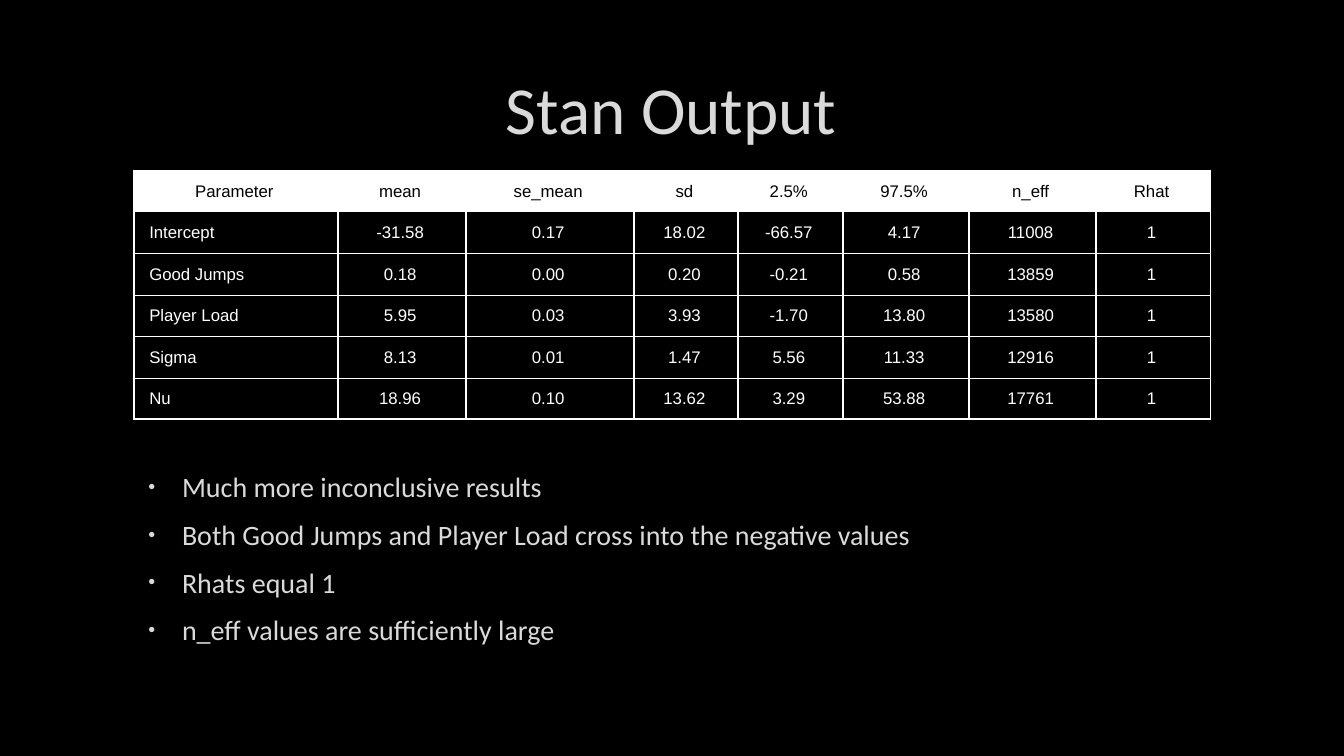
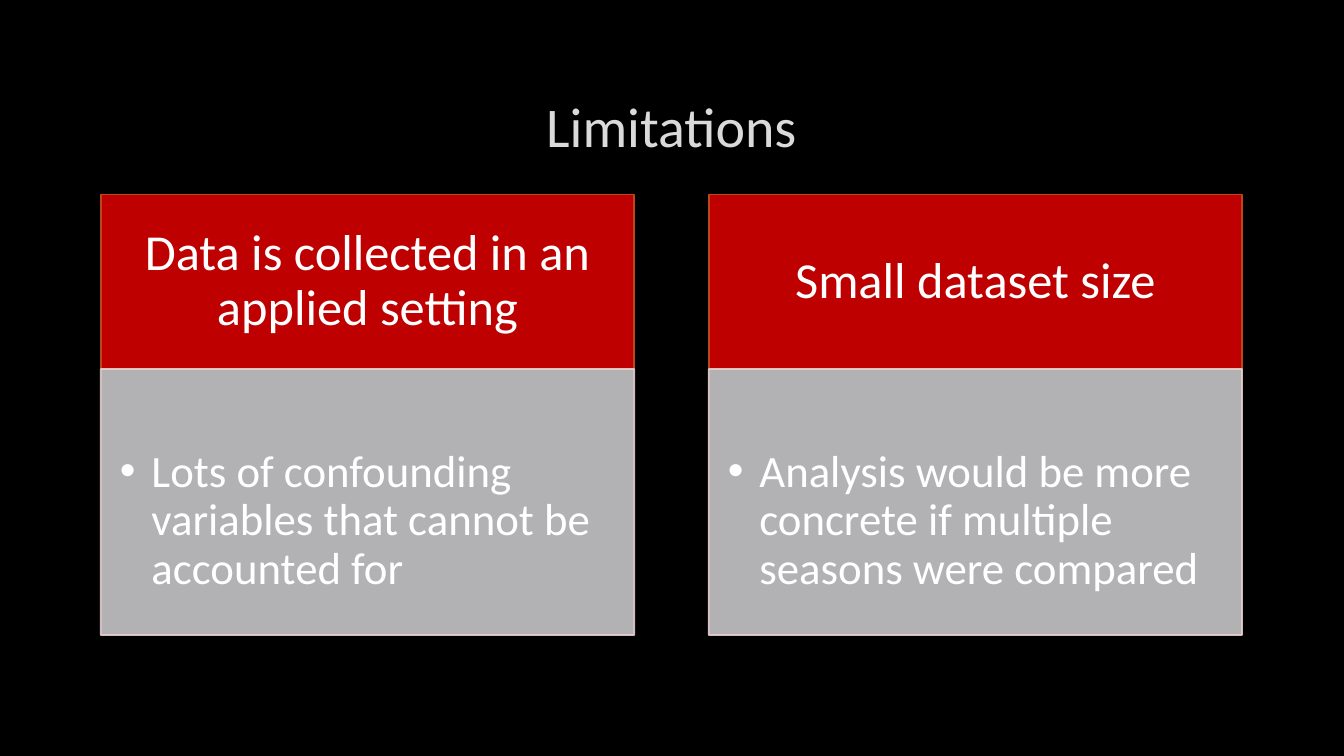
from lxml import etree
from pptx import Presentation
from pptx.dml.color import RGBColor
from pptx.enum.shapes import MSO_SHAPE
from pptx.enum.text import MSO_ANCHOR, MSO_AUTO_SIZE, PP_ALIGN
from pptx.oxml.ns import qn
from pptx.util import Pt

RECT = MSO_SHAPE.RECTANGLE
TOP, MIDDLE, BOTTOM = MSO_ANCHOR.TOP, MSO_ANCHOR.MIDDLE, MSO_ANCHOR.BOTTOM
LEFT, CENTER = PP_ALIGN.LEFT, PP_ALIGN.CENTER
NO_FIT = MSO_AUTO_SIZE.NONE

COLORS = {"black": "000000", "white": "FFFFFF", "text": "DADADA",
          "red": "BE0000", "red_line": "BC451B",
          "gray": "C6C6C9", "gray_line": "E7CFCD"}
PLAIN_TABLE = "{2D5ABB26-0587-4C30-8999-92F81FD0307C}"
TITLE_AND_BODY, TITLE_ONLY = 1, 5


def rgb(name):
    return RGBColor.from_string(COLORS[name])


def child(parent, tag, **attrs):
    return etree.SubElement(parent, qn(tag), attrs)


class Deck:
    def __init__(self):
        self.prs = Presentation()
        self.prs.slide_width, self.prs.slide_height = Pt(960), Pt(540)
        fill = self.prs.slide_master.background.fill
        fill.solid()
        fill.fore_color.rgb = rgb("black")
        self.s = None

    def slide(self, layout):
        self.s = self.prs.slides.add_slide(self.prs.slide_layouts[layout])

    # Text helpers
    def place(self, sp, box):
        sp.left, sp.top, sp.width, sp.height = (Pt(v) for v in box)

    def frame(self, tf, anchor, margins):
        tf.word_wrap, tf.auto_size, tf.vertical_anchor = True, NO_FIT, anchor
        (tf.margin_left, tf.margin_top,
         tf.margin_right, tf.margin_bottom) = (Pt(v) for v in margins)

    def add_text(self, p, text, size, color, align=LEFT, font="Calibri"):
        p.alignment = align
        r = p.add_run()
        r.text = text
        r.font.size, r.font.name = Pt(size), font
        r.font.color.rgb = rgb(color)

    def bullet(self, p, color, indent, hang, percent=100):
        pPr = p._p.get_or_add_pPr()
        pPr.set("marL", str(Pt(indent)))
        pPr.set("indent", str(-Pt(hang)))
        child(child(pPr, "a:buClr"), "a:srgbClr", val=COLORS[color])
        child(pPr, "a:buSzPct", val=str(percent * 1000))
        child(pPr, "a:buFont", typeface="Arial")
        child(pPr, "a:buChar", char="•")

    # Placeholders
    def title(self, text, box, size, anchor):
        sp = self.s.shapes.title
        self.place(sp, box)
        self.frame(sp.text_frame, anchor, (7.2, 6.5, 7.2, 0))
        self.add_text(sp.text_frame.paragraphs[0], text, size, "text", CENTER)

    def bullets(self, items, box):
        sp = self.s.placeholders[1]
        self.place(sp, box)
        tf = sp.text_frame
        self.frame(tf, TOP, (7.2, 3.6, 7.2, 3.6))
        for i, item in enumerate(items):
            p = tf.add_paragraph() if i else tf.paragraphs[0]
            p.space_before, p.space_after = Pt(0), Pt(10)
            self.bullet(p, "text", 27, 24, 70)
            self.add_text(p, item, 20, "text")

    # Table
    def border(self, cell, side, width):
        ln = child(cell._tc.get_or_add_tcPr(), "a:ln" + side, w=str(Pt(width)))
        child(child(ln, "a:solidFill"), "a:srgbClr", val=COLORS["white"])

    def table(self, rows, widths, left, top, row_height, thin_above):
        box = (left, top, sum(widths), row_height * len(rows))
        tbl = self.s.shapes.add_table(len(rows), len(widths),
                                      *(Pt(v) for v in box)).table
        tbl.horz_banding = False
        tbl._tbl.tblPr.find(qn("a:tableStyleId")).text = PLAIN_TABLE
        for col, width in zip(tbl.columns, widths):
            col.width = Pt(width)
        for i, row in enumerate(rows):
            tbl.rows[i].height = Pt(row_height)
            for j, text in enumerate(row):
                cell = tbl.cell(i, j)
                cell.vertical_anchor = MIDDLE
                cell.margin_left, cell.margin_right = Pt(10.8), Pt(13)
                cell.margin_top = cell.margin_bottom = Pt(7.5)
                for side in "LR":
                    self.border(cell, side, 1.5)
                if i == 0 or i in thin_above:
                    self.border(cell, "T", 0.5 if i else 1.5)
                if i == len(rows) - 1:
                    self.border(cell, "B", 1.5)
                cell.fill.solid()
                cell.fill.fore_color.rgb = rgb("black" if i else "white")
                self.add_text(cell.text_frame.paragraphs[0], text, 12,
                              "white" if i else "black",
                              LEFT if i and j == 0 else CENTER, "Arial")

    # Cards
    def panel(self, box, fill, line, anchor, margins, alpha=100):
        sp = self.s.shapes.add_shape(RECT, *(Pt(v) for v in box))
        sp.shadow.inherit = False
        sp.fill.solid()
        sp.fill.fore_color.rgb = rgb(fill)
        sp.line.color.rgb, sp.line.width = rgb(line), Pt(1.25)
        if alpha < 100:
            for color in sp._element.spPr.iter(qn("a:srgbClr")):
                child(color, "a:alpha", val=str(alpha * 1000))
        self.frame(sp.text_frame, anchor, margins)
        p = sp.text_frame.paragraphs[0]
        p.line_spacing = 0.9
        return p

    def card(self, head, point, left):
        p = self.panel((left, 139, 381, 124.6), "red", "red_line",
                       MIDDLE, (20, 11.5, 20, 11.5))
        self.add_text(p, head, 36, "white", CENTER)
        p = self.panel((left, 263.6, 381, 190), "gray", "gray_line",
                       TOP, (13.7, 57, 18, 20), 90)
        self.bullet(p, "white", 22.5, 22.5)
        self.add_text(p, point, 32, "white")


def main():
    deck = Deck()

    # Model results
    deck.slide(TITLE_AND_BODY)
    deck.title("Stan Output", (108, 20, 743, 86), 48, BOTTOM)
    deck.table([
        ["Parameter", "mean", "se_mean", "sd", "2.5%", "97.5%", "n_eff", "Rhat"],
        ["Intercept", "-31.58", "0.17", "18.02", "-66.57", "4.17", "11008", "1"],
        ["Good Jumps", "0.18", "0.00", "0.20", "-0.21", "0.58", "13859", "1"],
        ["Player Load", "5.95", "0.03", "3.93", "-1.70", "13.80", "13580", "1"],
        ["Sigma", "8.13", "0.01", "1.47", "5.56", "11.33", "12916", "1"],
        ["Nu", "18.96", "0.10", "13.62", "3.29", "53.88", "17761", "1"],
    ], [145.4, 91.4, 120.2, 74.4, 74.8, 90, 90.7, 82.1], 95.8, 122, 29.6, (2, 4))
    deck.bullets([
        "Much more inconclusive results",
        "Both Good Jumps and Player Load cross into the negative values",
        "Rhats equal 1",
        "n_eff values are sufficiently large",
    ], (95.8, 332, 769, 158))

    # Limitations
    deck.slide(TITLE_ONLY)
    deck.title("Limitations", (72, 48, 815, 76.5), 40, MIDDLE)
    cards = [
        ("Data is collected in an applied setting",
         "Lots of confounding variables that cannot be accounted for"),
        ("Small dataset size",
         "Analysis would be more concrete if multiple seasons were compared"),
    ]
    for i, (head, point) in enumerate(cards):
        deck.card(head, point, 72 + i * 434.2)

    deck.prs.save("out.pptx")


if __name__ == "__main__":
    main()
